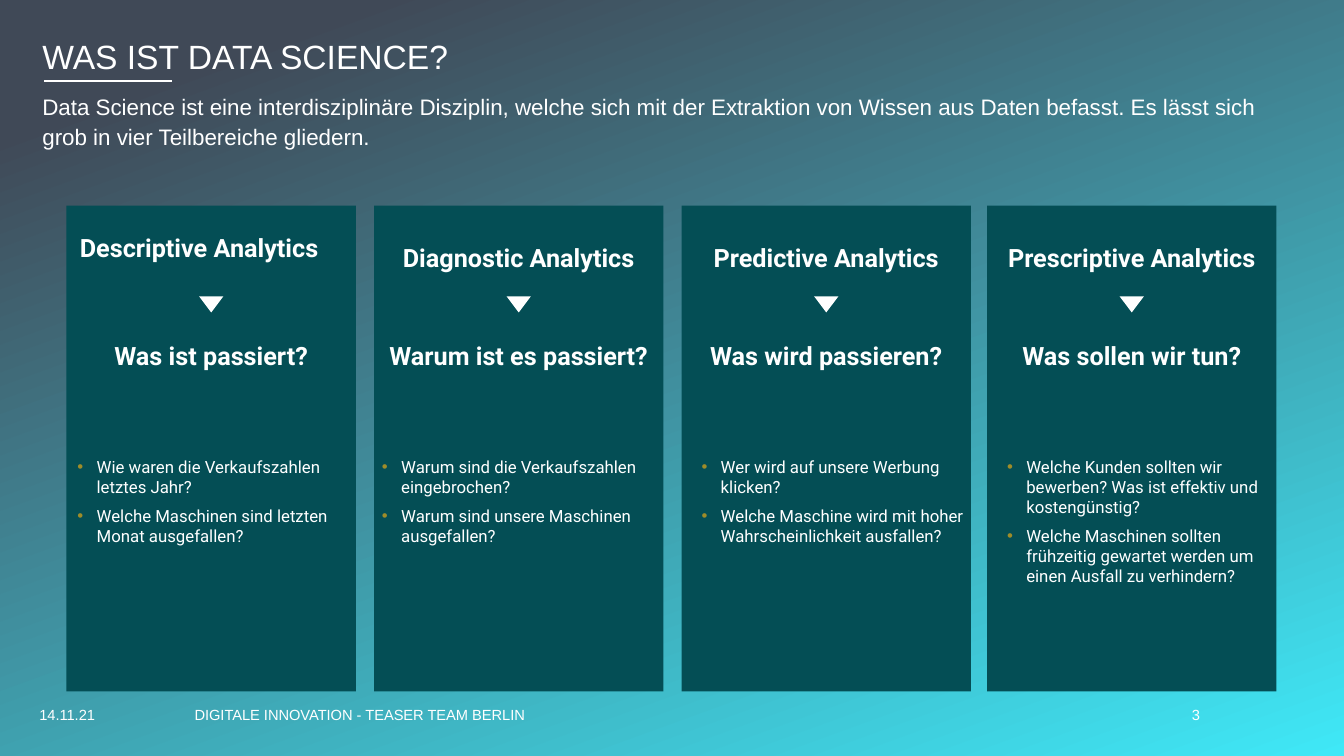
from dataclasses import dataclass

from lxml.etree import SubElement
from pptx import Presentation
from pptx.dml.color import RGBColor
from pptx.enum.shapes import MSO_CONNECTOR as Connector, MSO_SHAPE as Shape
from pptx.enum.text import MSO_ANCHOR as Anchor, PP_ALIGN as Align
from pptx.oxml.ns import qn
from pptx.slide import Slide
from pptx.text.text import TextFrame, _Paragraph as Paragraph
from pptx.util import Inches, Pt

COLORS = {
    "cyan": "3FE8F7",
    "slate": "404957",
    "petrol": "044E55",
    "white": "FFFFFF",
    "bullet": "9E8C29",
}
CARD_TOP, CARD_WIDTH, CARD_HEIGHT = 2.04, 2.87, 4.82
ARROW_WIDTH, ARROW_HEIGHT = 0.24, 0.16
BULLET_INDENT = 0.19


@dataclass
class Discipline:
    name: str
    question: str
    examples: list[str]
    left: float
    examples_left: float
    name_left: float
    name_top: float = 2.35


@dataclass
class Caption:
    text: str
    left: float
    top: float
    width: float
    height: float
    size: float
    insets: tuple[float, float, float, float]
    anchor: Anchor = Anchor.MIDDLE
    align: Align = Align.LEFT
    line_spacing: float = 1.0


DISCIPLINES = [
    Discipline("Descriptive Analytics", "Was ist passiert?",
               ["Wie waren die Verkaufszahlen letztes Jahr?",
                "Welche Maschinen sind letzten Monat ausgefallen?"],
               left=0.66, examples_left=0.67, name_left=0.54, name_top=2.26),
    Discipline("Diagnostic Analytics", "Warum ist es passiert?",
               ["Warum sind die Verkaufszahlen eingebrochen?",
                "Warum sind unsere Maschinen ausgefallen?"],
               left=3.71, examples_left=3.69, name_left=3.71),
    Discipline("Predictive Analytics", "Was wird passieren?",
               ["Wer wird auf unsere Werbung klicken?",
                "Welche Maschine wird mit hoher Wahrscheinlichkeit ausfallen?"],
               left=6.76, examples_left=6.86, name_left=6.76),
    Discipline("Prescriptive Analytics", "Was sollen wir tun?",
               ["Welche Kunden sollten wir bewerben? Was ist effektiv und kostengünstig?",
                "Welche Maschinen sollten frühzeitig gewartet werden um einen Ausfall zu verhindern?"],
               left=9.79, examples_left=9.89, name_left=9.79),
]

CAPTIONS = [
    Caption("WAS IST DATA SCIENCE?", 0.42, 0.4, 12.52, 0.41, 24,
            (0, 0, 0.1, 0.05), Anchor.BOTTOM, line_spacing=0.9),
    Caption("Data Science ist eine interdisziplinäre Disziplin, welche sich mit der "
            "Extraktion von Wissen aus Daten befasst. Es lässt sich grob in vier "
            "Teilbereiche gliedern.", 0.42, 0.81, 12.52, 0.79, 16,
            (0, 0.09, 0.1, 0.09), Anchor.TOP, line_spacing=1.1),
    Caption("14.11.21", 0.39, 6.95, 1.54, 0.28, 10.5, (0, 0, 0.1, 0)),
    Caption("DIGITALE INNOVATION - TEASER TEAM BERLIN", 1.93, 6.95, 7.7, 0.28, 10.5,
            (0, 0, 0, 0)),
    Caption("3", 11.04, 6.95, 0.96, 0.28, 10.5, (0.1, 0.05, 0.1, 0.05),
            align=Align.RIGHT),
]


def rgb(key: str) -> RGBColor:
    return RGBColor.from_string(COLORS[key])


def add_frame(slide: Slide, left: float, top: float, width: float, height: float,
              insets: tuple[float, float, float, float]) -> TextFrame:
    frame = slide.shapes.add_textbox(
        Inches(left), Inches(top), Inches(width), Inches(height)).text_frame
    frame.word_wrap = True
    (frame.margin_left, frame.margin_top,
     frame.margin_right, frame.margin_bottom) = map(Inches, insets)
    return frame


def add_run(paragraph: Paragraph, text: str, size: float, font: str,
            bold: bool = False) -> None:
    run = paragraph.add_run()
    run.text = text
    run.font.size, run.font.name, run.font.bold = Pt(size), font, bold
    run.font.color.rgb = rgb("white")


def add_filled(slide: Slide, kind: Shape, left: float, top: float, width: float,
               height: float, color: str, rotation: float = 0) -> None:
    shape = slide.shapes.add_shape(
        kind, Inches(left), Inches(top), Inches(width), Inches(height))
    shape.shadow.inherit = False
    shape.fill.solid()
    shape.fill.fore_color.rgb = rgb(color)
    shape.line.fill.background()
    shape.rotation = rotation


def add_bullet(paragraph: Paragraph) -> None:
    properties = paragraph._p.get_or_add_pPr()
    properties.set("marL", str(Inches(BULLET_INDENT)))
    properties.set("indent", str(-Inches(BULLET_INDENT)))
    color = SubElement(properties, qn("a:buClr"))
    SubElement(color, qn("a:srgbClr"), val=COLORS["bullet"])
    SubElement(properties, qn("a:buFont"), typeface="Arial")
    SubElement(properties, qn("a:buChar"), char="•")


def paint_background(slide: Slide) -> None:
    fill = slide.background.fill
    fill.gradient()
    fill.gradient_angle = 110
    for stop, color, position in zip(fill.gradient_stops, ("cyan", "slate"), (0, 0.89)):
        stop.color.rgb = rgb(color)
        stop.position = position


def add_title_rule(slide: Slide) -> None:
    rule = slide.shapes.add_connector(
        Connector.STRAIGHT, Inches(0.44), Inches(0.8), Inches(1.71), Inches(0.8))
    rule.line.color.rgb = rgb("white")
    rule.line.width = Pt(1.5)
    SubElement(rule._element.spPr, qn("a:effectLst"))


def add_caption(slide: Slide, caption: Caption) -> None:
    frame = add_frame(slide, caption.left, caption.top, caption.width,
                      caption.height, caption.insets)
    frame.vertical_anchor = caption.anchor
    paragraph = frame.paragraphs[0]
    paragraph.alignment = caption.align
    paragraph.line_spacing = caption.line_spacing
    add_run(paragraph, caption.text, caption.size, "Arial")


def add_heading(slide: Slide, text: str, left: float, top: float) -> None:
    frame = add_frame(slide, left, top, CARD_WIDTH, 0.4, (0.05,) * 4)
    paragraph = frame.paragraphs[0]
    paragraph.alignment = Align.CENTER
    add_run(paragraph, text, 18, "Roboto", bold=True)


def add_discipline(slide: Slide, item: Discipline) -> None:
    add_filled(slide, Shape.RECTANGLE, item.left, CARD_TOP, CARD_WIDTH, CARD_HEIGHT,
               "petrol")
    add_heading(slide, item.name, item.name_left, item.name_top)
    arrow_left = item.left + (CARD_WIDTH - ARROW_WIDTH) / 2
    add_filled(slide, Shape.ISOSCELES_TRIANGLE, arrow_left, 2.94, ARROW_WIDTH,
               ARROW_HEIGHT, "white", rotation=180)
    add_heading(slide, item.question, item.left, 3.33)

    examples = add_frame(slide, item.examples_left, 4.48, 2.85, 1.28,
                         (0.1, 0.05, 0.1, 0.05))
    for index, example in enumerate(item.examples):
        paragraph = examples.add_paragraph() if index else examples.paragraphs[0]
        paragraph.space_after = Pt(6)
        add_bullet(paragraph)
        add_run(paragraph, example, 12, "Roboto")


def main() -> None:
    deck = Presentation()
    deck.slide_width, deck.slide_height = Inches(13.33), Inches(7.5)
    slide = deck.slides.add_slide(deck.slide_layouts[6])

    # Background, title and footer
    paint_background(slide)
    add_title_rule(slide)
    for caption in CAPTIONS:
        add_caption(slide, caption)

    # The four disciplines
    for discipline in DISCIPLINES:
        add_discipline(slide, discipline)

    deck.save("out.pptx")


if __name__ == "__main__":
    main()
